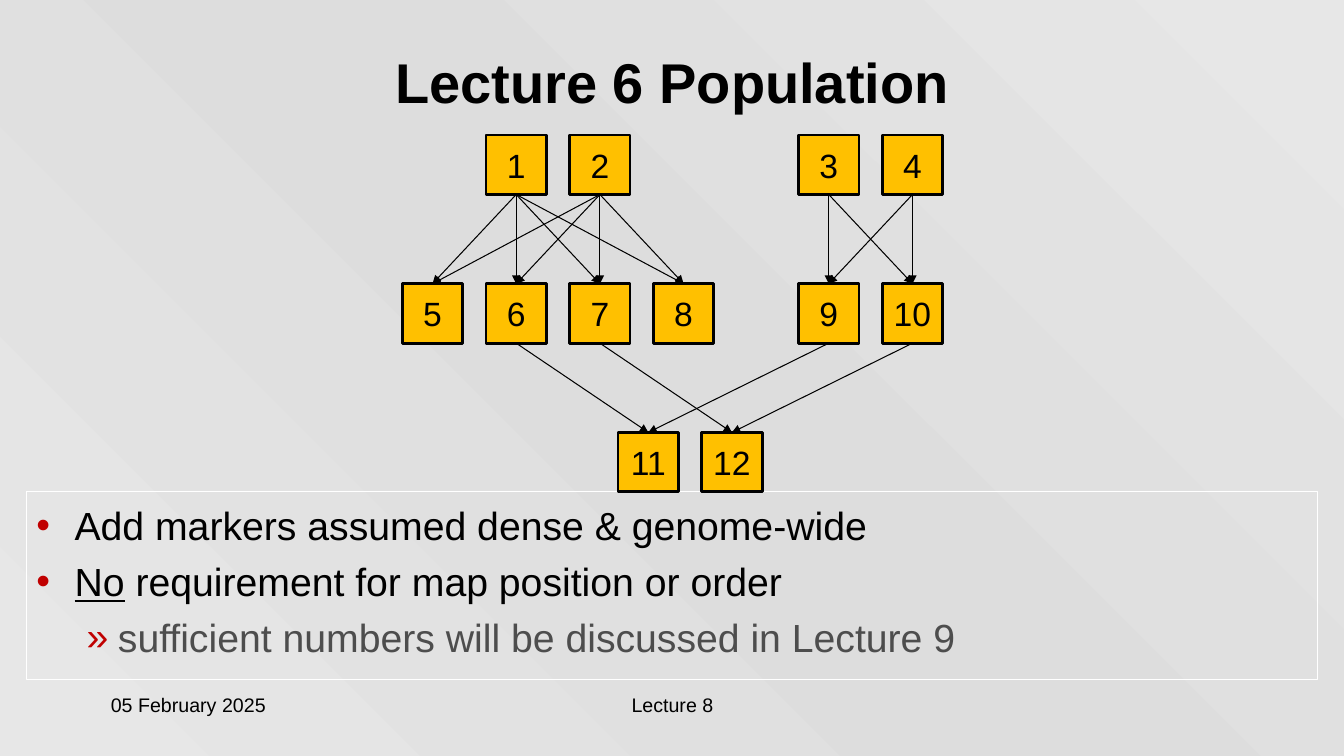
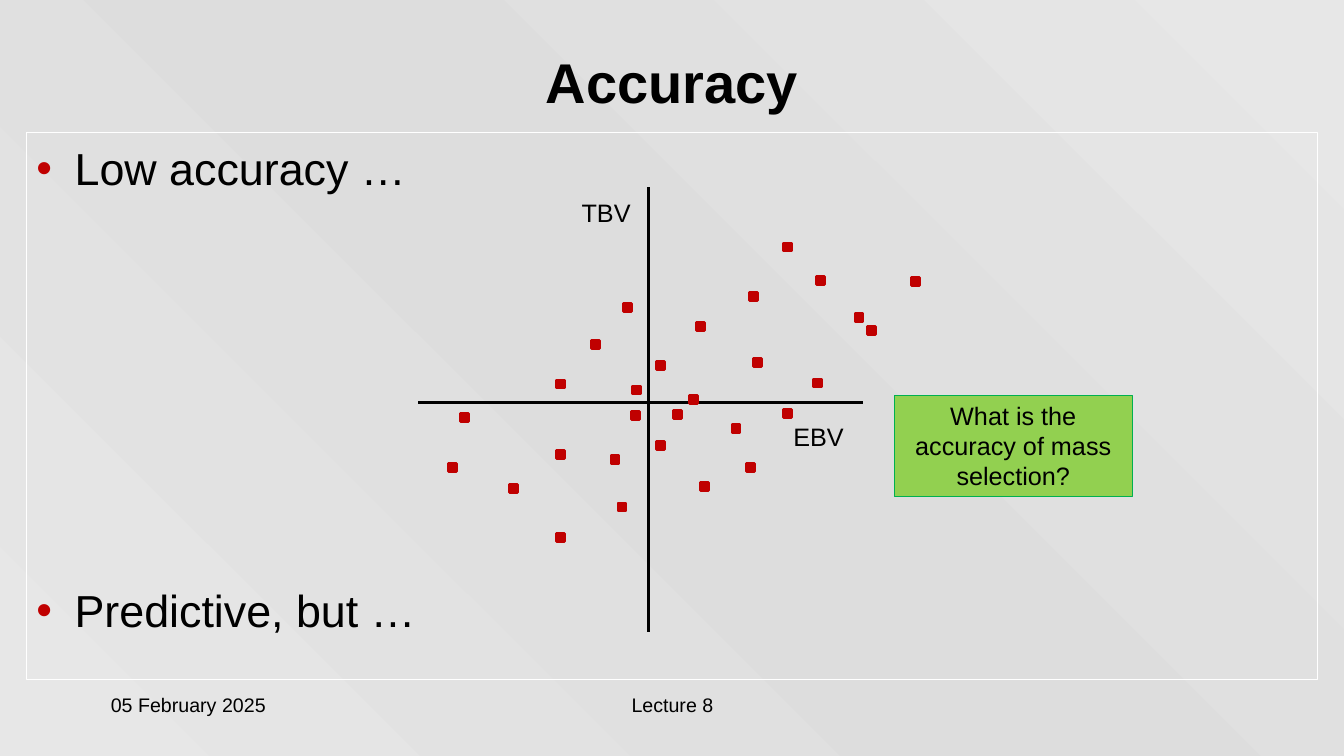
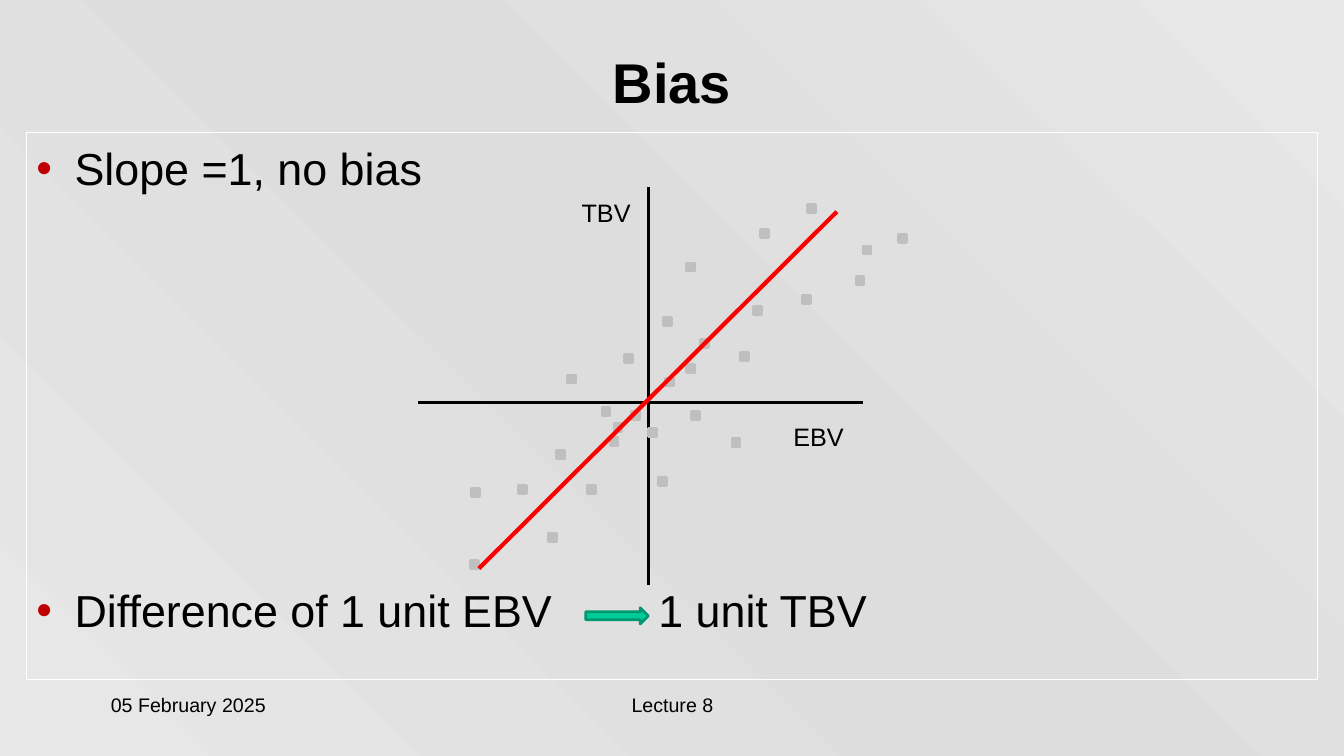
from copy import deepcopy

from lxml import etree
from pptx import Presentation
from pptx.dml.color import RGBColor
from pptx.enum.shapes import MSO_CONNECTOR, MSO_SHAPE
from pptx.enum.text import MSO_ANCHOR, MSO_AUTO_SIZE, PP_ALIGN
from pptx.oxml.ns import qn
from pptx.util import Inches, Pt

STRAIGHT = MSO_CONNECTOR.STRAIGHT
RECTANGLE, RIGHT_ARROW = MSO_SHAPE.RECTANGLE, MSO_SHAPE.RIGHT_ARROW
LEFT, CENTER = PP_ALIGN.LEFT, PP_ALIGN.CENTER
TOP, MIDDLE = MSO_ANCHOR.TOP, MSO_ANCHOR.MIDDLE

FONT = "Arial"
COLORS = {
    "text": "000000", "subtext": "4D4D4D", "bullet": "C00000", "frame": "FFFFFF",
    "edge": "E7E7E7", "middle": "DDDDDD",
    "animal": "FFC000", "strong": "C00000", "faded": "BFBFBF", "slope": "FF0000",
    "callout": "92D050", "callout_line": "00B050",
    "arrow": "00CC99", "arrow_line": "009771",
}

MARGIN, CONTENT_WIDTH = 0.26, 12.81
CONTENT_TOP, CONTENT_BOTTOM = 1.31, 6.74
LAST_BULLET_GAP = 277

# Per bullet level: character, left margin, hanging indent, text colour
BULLET_LEVELS = (("•", 0.38, 0.38, "text"), ("»", 0.81, 0.31, "subtext"))

# First animal, number of animals, left of the first, generation
SIBLINGS = ((1, 2, 4.82, 0), (3, 2, 7.92, 0), (5, 4, 3.99, 1),
            (9, 2, 7.92, 1), (11, 2, 6.13, 2))
# Parents, offspring
MATINGS = (((1, 2), (5, 6, 7, 8)), ((3, 4), (9, 10)),
           ((6, 9), (11,)), ((7, 10), (12,)))

LOW_ACCURACY = (
    (7.77, 2.41), (7.43, 2.9), (8.1, 2.74), (6.91, 3.2), (8.48, 3.11), (8.6, 3.24),
    (9.04, 2.75), (8.07, 3.76), (6.26, 4.08), (5.52, 5.29), (5.05, 4.81), (6.13, 4.99),
    (5.52, 4.47), (6.06, 4.52), (5.52, 3.77), (5.87, 3.38), (6.18, 3.01), (6.95, 4.79),
    (7.4, 4.6), (6.84, 3.92), (4.57, 4.1), (7.47, 3.56), (7.26, 4.21), (7.77, 4.06),
    (4.45, 4.6), (6.51, 3.59), (6.68, 4.07), (6.27, 3.83), (6.51, 4.38),
)
UNBIASED = (
    (6.53, 4.74), (7.47, 3.04), (8.01, 2.03), (6.95, 3.37), (8.49, 2.74), (8.56, 2.44),
    (8.91, 2.33), (7.54, 2.28), (6.26, 4.08), (5.44, 5.29), (5.14, 4.82), (6.09, 4.2),
    (5.52, 4.47), (6.05, 4.34), (5.83, 4.82), (5.97, 4.04), (6.19, 3.52), (6.81, 2.61),
    (7.34, 3.5), (6.81, 3.62), (4.68, 4.85), (7.26, 4.35), (5.63, 3.72), (7.96, 2.93),
    (4.67, 5.56), (6.43, 4.25), (6.6, 3.75), (6.58, 3.15), (6.86, 4.08),
)


def rgb(color):
    return RGBColor.from_string(COLORS[color])


def place(shape, left, top, width, height):
    shape.left, shape.top = Inches(left), Inches(top)
    shape.width, shape.height = Inches(width), Inches(height)


def format_runs(paragraph, size, color="text", bold=False):
    for run in paragraph.runs:
        run.font.name, run.font.size, run.font.bold = FONT, Pt(size), bold
        run.font.color.rgb = rgb(color)


def write(shape, text, size, align=LEFT, anchor=TOP, wrap=True, bold=False):
    frame = shape.text_frame
    frame.text = text
    frame.word_wrap = wrap
    frame.vertical_anchor = anchor
    frame.paragraphs[0].alignment = align
    format_runs(frame.paragraphs[0], size, bold=bold)


def set_outline(shape, color, weight):
    shape.line.color.rgb = rgb(color)
    shape.line.width = Pt(weight)


def add_label(slide, text, box, size, align=LEFT):
    label = slide.shapes.add_textbox(*map(Inches, box))
    write(label, text, size, align)


def add_block(slide, box, fill, outline, weight=2, preset=RECTANGLE):
    block = slide.shapes.add_shape(preset, *map(Inches, box))
    block.shadow.inherit = False
    block.fill.solid()
    block.fill.fore_color.rgb = rgb(fill)
    set_outline(block, outline, weight)
    return block


def add_line(slide, start, end, weight, color="text"):
    line = slide.shapes.add_connector(STRAIGHT, *map(Inches, start + end))
    set_outline(line, color, weight)
    etree.SubElement(line._element.spPr, qn("a:effectLst"))
    return line


def set_background(master):
    """Diagonal gradient: light corners, darker middle."""
    fill = master.background.fill
    fill.gradient()
    fill.gradient_angle = 45
    for stop, color, position in zip(fill.gradient_stops, ("edge", "middle"), (0, 0.5)):
        stop.color.rgb = rgb(color)
        stop.position = position
    stop_list = next(master.element.iter(qn("a:gsLst")))
    stop_list.append(deepcopy(stop_list[0]))
    fill.gradient_stops[2].position = 1


def add_slide(prs, title, body_top=CONTENT_TOP):
    """Slide with title, framed body and footers; returns it and its body."""
    slide = prs.slides.add_slide(prs.slide_layouts[1])
    heading, body = slide.placeholders
    place(heading, MARGIN, 0.3, CONTENT_WIDTH, 1.01)
    write(heading, title, 40, CENTER, MIDDLE, bold=True)
    place(body, MARGIN, body_top, CONTENT_WIDTH, CONTENT_BOTTOM - body_top)
    set_outline(body, "frame", 0.75)
    body.text_frame.auto_size = MSO_AUTO_SIZE.NONE
    body.text_frame.margin_top = Inches(0.09)
    add_label(slide, "05 February 2025", (1, 6.83, 2.78, 0.5), 14)
    add_label(slide, "Lecture 8", (4.56, 6.83, 4.22, 0.5), 14, CENTER)
    return slide, body.text_frame


def add_bullet(paragraph, texts, size, level=0, space_before=0, tab=None):
    """Bulleted paragraph with one run per text and an optional tab stop."""
    char, margin, hanging, color = BULLET_LEVELS[level]
    paragraph.level = level
    paragraph.space_before = Pt(space_before)
    props = paragraph._p.get_or_add_pPr()
    props.set("marL", str(Inches(margin)))
    props.set("indent", str(-Inches(hanging)))
    bullet_color = etree.SubElement(props, qn("a:buClr"))
    etree.SubElement(bullet_color, qn("a:srgbClr"), val=COLORS["bullet"])
    etree.SubElement(props, qn("a:buFont"), typeface=FONT)
    etree.SubElement(props, qn("a:buChar"), char=char)
    if tab:
        tabs = etree.SubElement(props, qn("a:tabLst"))
        etree.SubElement(tabs, qn("a:tab"), pos=str(Inches(tab)), algn="l")
    for text in texts:
        paragraph.add_run().text = text
    format_runs(paragraph, size, color)


def add_top_and_bottom_bullets(body, first, last, tab=None):
    add_bullet(body.paragraphs[0], [first], 32)
    add_bullet(body.add_paragraph(), [last], 32, space_before=LAST_BULLET_GAP, tab=tab)


def add_pedigree(slide):
    animals = {}
    for first, count, left, generation in SIBLINGS:
        for i in range(count):
            box = (left + 0.83 * i, 1.34 + 1.475 * generation, 0.6, 0.59)
            animal = add_block(slide, box, "animal", "text")
            write(animal, str(first + i), 24, CENTER, MIDDLE, wrap=False)
            animals[first + i] = animal
    for parents, offspring in MATINGS:
        for child in offspring:
            for parent in parents:
                descent = add_line(slide, (0, 0), (0, 0), 0.75)
                descent.begin_connect(animals[parent], 2)
                descent.end_connect(animals[child], 0)
                etree.SubElement(descent.line._get_or_add_ln(), qn("a:tailEnd"),
                                 type="triangle")


def add_scatter(slide, points, color, axis_bottom):
    """Sketch of true against estimated breeding values."""
    add_line(slide, (6.43, 1.86), (6.43, axis_bottom), 2.25)
    add_line(slide, (4.15, 3.99), (8.56, 3.99), 2.25)
    for point in points:
        add_block(slide, point + (0.08, 0.08), color, color)
    add_label(slide, "TBV", (5.67, 1.91, 0.69, 0.4), 18)
    add_label(slide, "EBV", (7.77, 4.13, 0.78, 0.4), 18)


def build_population(prs):
    slide, body = add_slide(prs, "Lecture 6 Population", body_top=4.88)
    add_bullet(body.paragraphs[0], ["Add markers assumed dense & genome-wide"], 28)
    requirement = body.add_paragraph()
    add_bullet(requirement, ["No", " requirement for map position or order"], 28,
               space_before=6.5)
    requirement.runs[0].font.underline = True
    add_bullet(body.add_paragraph(),
               ["sufficient numbers will be discussed in Lecture 9"], 28,
               level=1, space_before=6.5)
    add_pedigree(slide)


def build_accuracy(prs):
    slide, body = add_slide(prs, "Accuracy")
    add_top_and_bottom_bullets(body, "Low accuracy …", "Predictive, but …")
    add_scatter(slide, LOW_ACCURACY, "strong", axis_bottom=6.27)
    question = add_block(slide, (8.87, 3.92, 2.36, 1.01), "callout", "callout_line", 0.75)
    write(question, "What is the accuracy of mass selection?", 18, CENTER)


def build_bias(prs):
    slide, body = add_slide(prs, "Bias")
    add_top_and_bottom_bullets(body, "Slope =1, no bias",
                               "Difference of 1 unit EBV\t1 unit TBV", tab=6.17)
    add_scatter(slide, UNBIASED, "faded", axis_bottom=5.8)
    add_line(slide, (4.75, 5.64), (8.3, 2.1), 3, "slope")
    add_block(slide, (5.81, 6.03, 0.62, 0.16), "arrow", "arrow_line", preset=RIGHT_ARROW)


def main():
    prs = Presentation()
    prs.slide_width, prs.slide_height = Inches(13.33), Inches(7.5)
    set_background(prs.slide_master)
    build_population(prs)
    build_accuracy(prs)
    build_bias(prs)
    prs.save("out.pptx")


if __name__ == "__main__":
    main()
